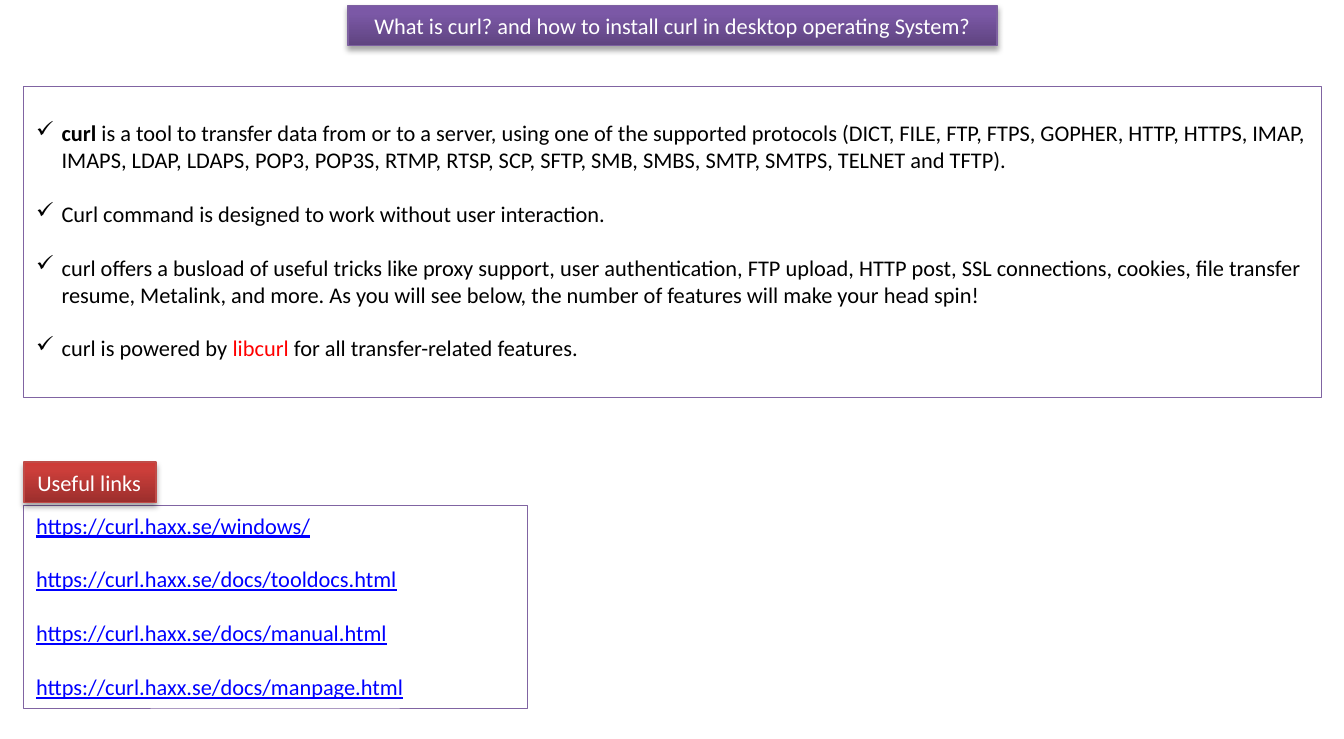
from copy import deepcopy
from dataclasses import dataclass

from lxml import etree
from pptx import Presentation
from pptx.dml.color import RGBColor
from pptx.enum import shapes, text
from pptx.oxml import ns
from pptx.util import Inches, Pt


@dataclass(frozen=True)
class Theme:
    font: str = "Calibri"
    size: float = 12
    gap: float = 14.4
    white: str = "FFFFFF"
    black: str = "000000"
    red: str = "FF0000"
    link: str = "0000FF"
    frame: str = "8064A2"


THEME = Theme()


@dataclass(frozen=True)
class Run:
    words: str
    color: str = THEME.black
    bold: bool = False
    line: bool = False


@dataclass(frozen=True)
class Box:
    left: float
    top: float
    width: float
    height: float
    paras: list[list[Run]]
    edge: str = THEME.frame
    weight: float = 0.25
    inset: float = 0.05
    grade: tuple[str, ...] = ()
    center: bool = False
    wrap: bool = True
    check: bool = False


STOPS = (0, 0.8, 1)

TITLE = Box(
    2.59, 0.04, 4.83, 0.3,
    [[Run("What is curl? and how to install curl in desktop operating System?", THEME.white)]],
    edge="7D60A0", weight=0.75, grade=("5F4480", "7B58A6", "7C57A8"), center=True,
)
LINKS = Box(
    0.17, 3.76, 3.75, 1.51,
    [[Run(f"https://curl.haxx.se/{page}", THEME.link, line=True)]
     for page in ("windows/", "docs/tooldocs.html", "docs/manual.html", "docs/manpage.html")],
)
FACTS = Box(
    0.17, 0.64, 9.66, 2.32,
    [
        [Run("curl", bold=True),
         Run(" is a tool to transfer data from or to a server, using one of the supported "
             "protocols (DICT, FILE, FTP, FTPS, GOPHER, HTTP, HTTPS, IMAP, IMAPS, LDAP, LDAPS, "
             "POP3, POP3S, RTMP, RTSP, SCP, SFTP, SMB, SMBS, SMTP, SMTPS, TELNET and TFTP).")],
        [Run("Curl command is designed to work without user interaction.")],
        [Run("curl offers a busload of useful tricks like proxy support, user authentication, "
             "FTP upload, HTTP post, SSL connections, cookies, file transfer resume, Metalink, "
             "and more. As you will see below, the number of features will make your head spin!")],
        [Run("curl is powered by "), Run("libcurl ", THEME.red),
         Run("for all transfer-related features.")],
    ],
    inset=0.25, check=True,
)
LABEL = Box(
    0.18, 3.44, 0.98, 0.3, [[Run("Useful links", THEME.white)]],
    edge="BF4C48", weight=0.75, grade=("9C2F2D", "CB3E3A", "CE3B37"), wrap=False,
)


def add_node(parent, tag: str, **attrs: str):
    return etree.SubElement(parent, ns.qn(tag), attrs)


def paint(shape, grade: tuple[str, ...]) -> None:
    """Fill with a gradient running from bottom to top."""
    fill = shape.fill
    fill.gradient()
    fill.gradient_angle = 90
    stops = shape._element.spPr.find(ns.qn("a:gradFill")).find(ns.qn("a:gsLst"))
    stops.append(deepcopy(stops[-1]))
    for stop, place, color in zip(fill.gradient_stops, STOPS, grade):
        stop.position = place
        stop.color.rgb = RGBColor.from_string(color)


def cast(shape) -> None:
    """Add a soft shadow below the shape."""
    effects = shape._element.spPr.find(ns.qn("a:effectLst"))
    shade = add_node(effects, "a:outerShdw", blurRad=str(Pt(3.1)), dist=str(Pt(1.8)),
                     dir="5400000", rotWithShape="0")
    color = add_node(shade, "a:srgbClr", val=THEME.black)
    add_node(color, "a:alpha", val="35000")


def tick(para) -> None:
    """Give the paragraph a check-mark bullet."""
    props = para._p.get_or_add_pPr()
    props.set("marL", str(Inches(0.19)))
    props.set("indent", str(Inches(-0.19)))
    add_node(props, "a:buChar", char="✓")


def write(para, run: Run) -> None:
    part = para.add_run()
    part.text = run.words
    font = part.font
    font.name = THEME.font
    font.size = Pt(THEME.size)
    font.bold = run.bold
    font.underline = run.line
    font.color.rgb = RGBColor.from_string(run.color)


def draw(slide, box: Box) -> None:
    shape = slide.shapes.add_shape(
        shapes.MSO_SHAPE.RECTANGLE,
        Inches(box.left), Inches(box.top), Inches(box.width), Inches(box.height),
    )
    shape.shadow.inherit = False
    if box.grade:
        paint(shape, box.grade)
        cast(shape)
    else:
        shape.fill.solid()
        shape.fill.fore_color.rgb = RGBColor.from_string(THEME.white)
    shape.line.color.rgb = RGBColor.from_string(box.edge)
    shape.line.width = Pt(box.weight)

    frame = shape.text_frame
    frame.word_wrap = box.wrap
    frame.vertical_anchor = text.MSO_ANCHOR.TOP
    frame.margin_left = frame.margin_right = Inches(0.1)
    frame.margin_top = Inches(box.inset)
    frame.margin_bottom = Inches(0.05)
    for index, runs in enumerate(box.paras):
        para = frame.add_paragraph() if index else frame.paragraphs[0]
        para.alignment = text.PP_ALIGN.CENTER if box.center else text.PP_ALIGN.LEFT
        if box.check:
            tick(para)
        if index:
            para.space_before = Pt(THEME.gap)
        for run in runs:
            write(para, run)


def main() -> None:
    deck = Presentation()
    deck.slide_width, deck.slide_height = Inches(10), Inches(5.5)
    slide = deck.slides.add_slide(deck.slide_layouts[6])
    for box in (TITLE, LINKS, FACTS, LABEL):
        draw(slide, box)
    deck.save("out.pptx")


if __name__ == "__main__":
    main()
